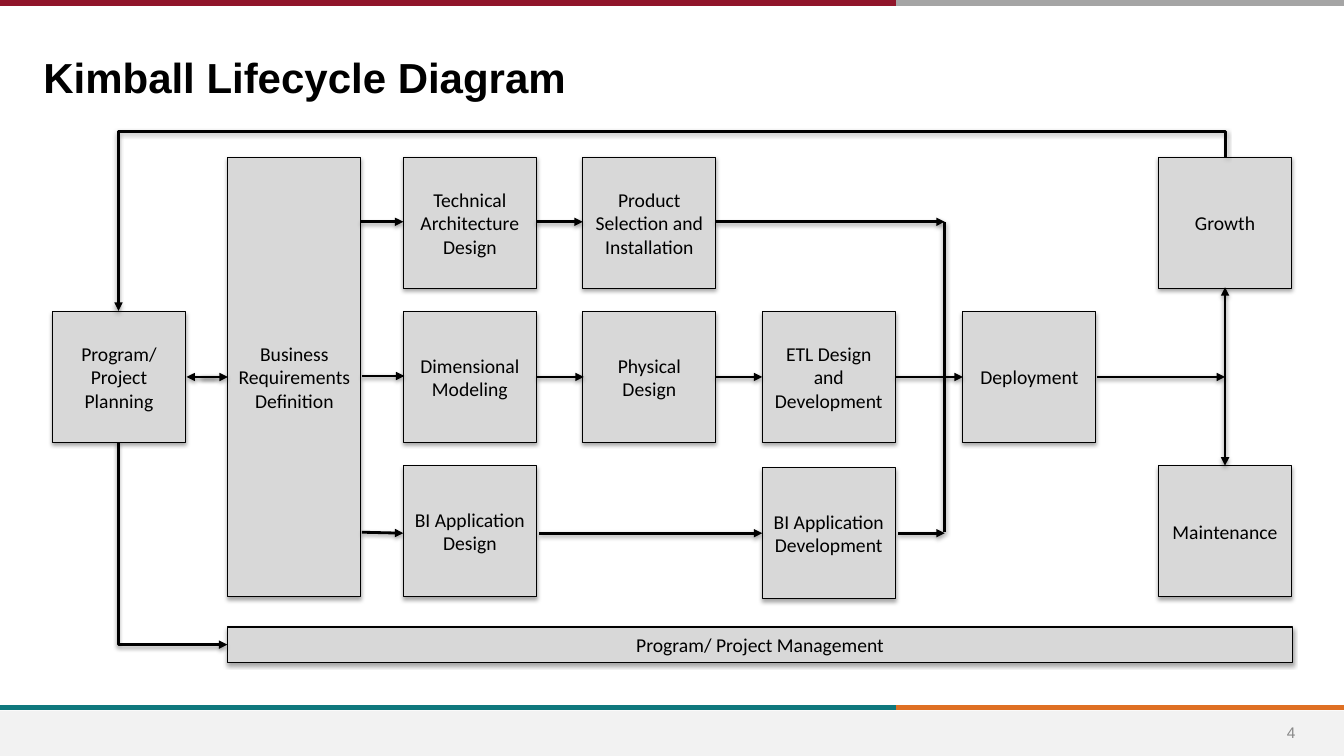
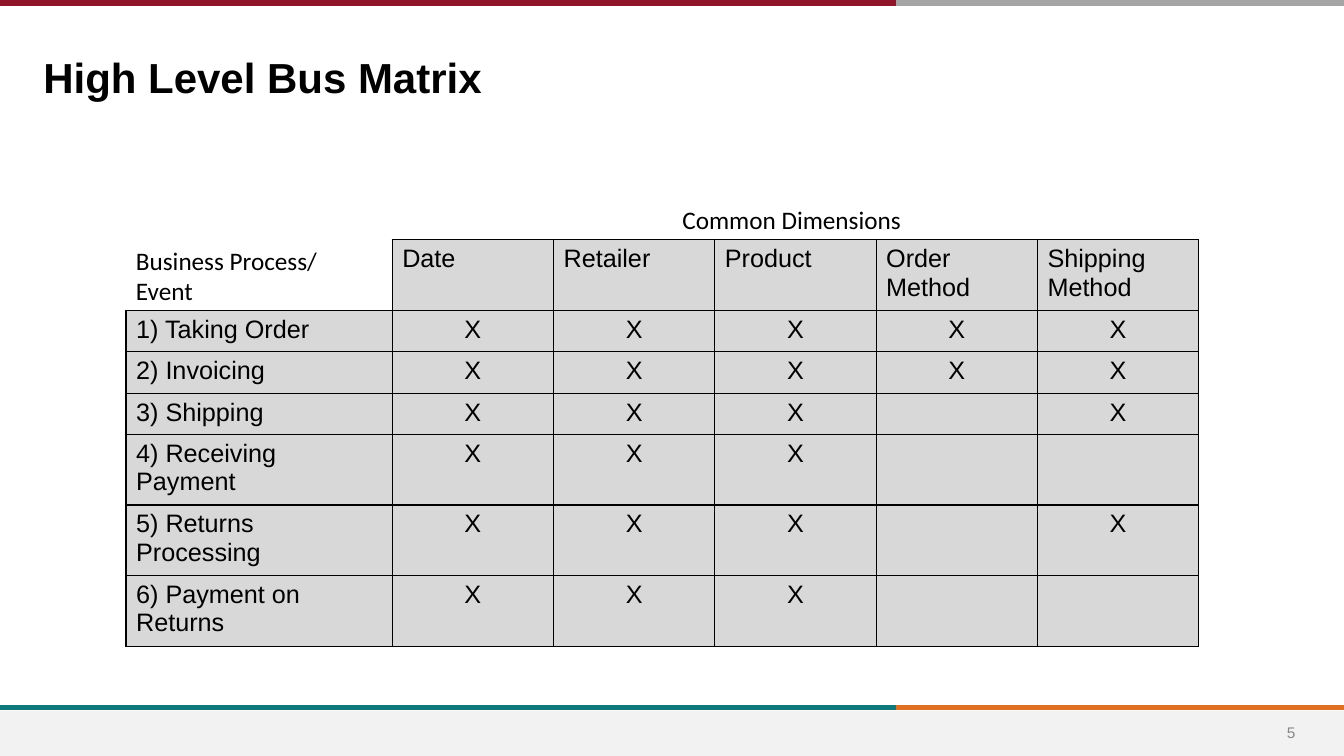
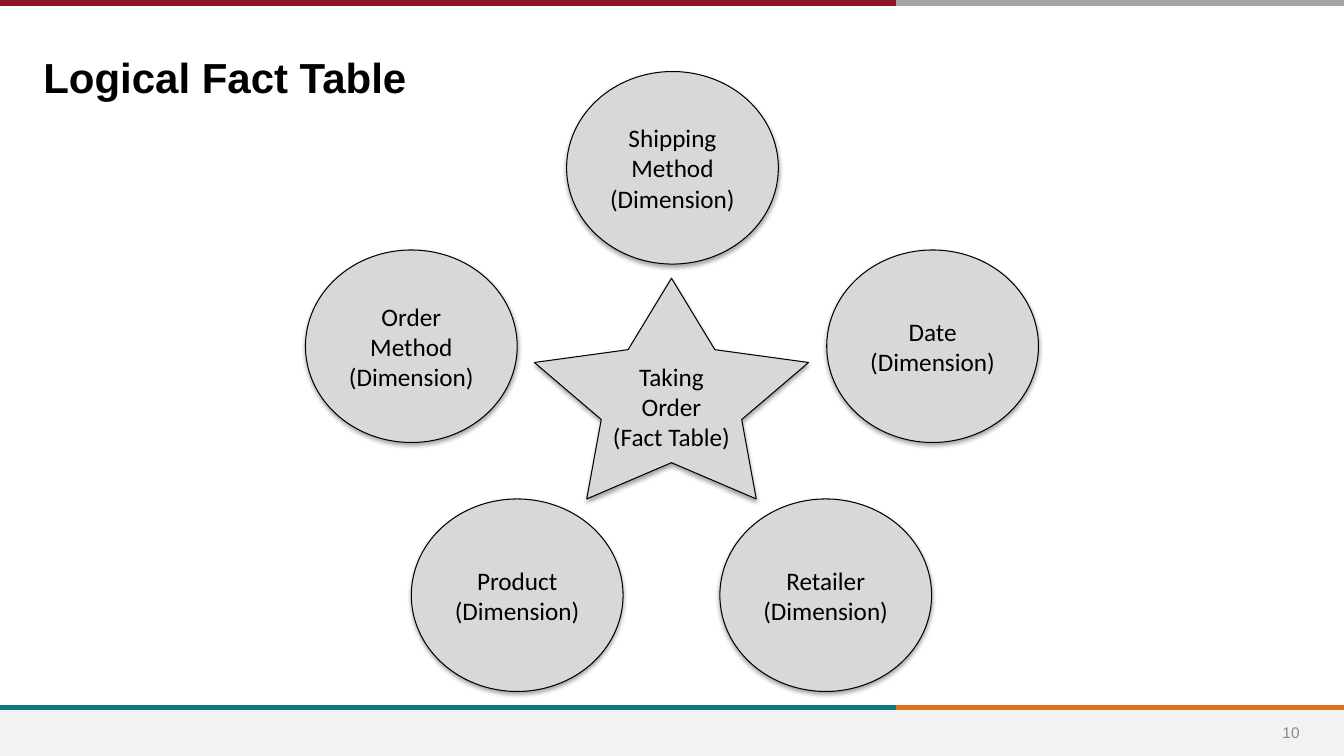
"""Build three slides on the data warehouse lifecycle, bus matrix and fact table."""
import dataclasses
import typing

import lxml.etree
import pptx
import pptx.dml.color
import pptx.enum.shapes
import pptx.enum.text
import pptx.oxml.ns
import pptx.shapes.connector
import pptx.slide
import pptx.table
import pptx.text.text
import pptx.util

Inches = pptx.util.Inches
Pt = pptx.util.Pt
qn = pptx.oxml.ns.qn
SHAPE = pptx.enum.shapes.MSO_SHAPE
CONNECTOR = pptx.enum.shapes.MSO_CONNECTOR
ALIGN = pptx.enum.text.PP_ALIGN
ANCHOR = pptx.enum.text.MSO_ANCHOR

BLACK, WHITE, GREY, FOOTER, MUTED = "000000", "FFFFFF", "D8D8D8", "F2F2F2", "888888"
WIDTH, HEIGHT, SPLIT = 13.33, 7.5, 8.89
SANS, BODY = "Arial", "Calibri"


@dataclasses.dataclass(frozen=True)
class Node:
    """A grey shape with centred text."""
    left: float
    top: float
    width: float
    height: float
    lines: tuple[str, ...]


@dataclasses.dataclass(frozen=True)
class Line:
    """A straight line with optional arrowheads."""
    x1: float
    y1: float
    x2: float
    y2: float
    head: bool = False
    tail: bool = True


@dataclasses.dataclass(frozen=True)
class Elbow:
    """A turned elbow arrow, given by its unturned ends."""
    x1: float
    y1: float
    x2: float
    y2: float
    turn: int
    preset: str
    bend: typing.Optional[float] = None


@dataclasses.dataclass(frozen=True)
class Band:
    """A coloured stretch of a horizontal rule."""
    x1: float
    x2: float
    y: float
    color: str


BANDS = (
    Band(SPLIT, WIDTH, 7.02, "DF7023"),
    Band(0, SPLIT, 7.02, "0F787D"),
    Band(SPLIT, WIDTH, 0.03, "A5A5A5"),
    Band(0, SPLIT, 0.03, "90152A"),
)

BOX_W, BOX_H = 1.32, 1.3
PLAN_X, REQ_X, DESIGN_X, SELECT_X, BUILD_X, DEPLOY_X, END_X = 0.52, 2.26, 4, 5.78, 7.56, 9.55, 11.49
TOP_Y, MID_Y, LOW_Y = (1.56 + 1.53 * i for i in range(3))
TOP_ARROW, MID_ARROW, LOW_ARROW = 2.2, 3.74, 5.29
JOIN_X, END_MID = 9.37, 12.15


def box(left: float, top: float, text: str) -> Node:
    """Return a lifecycle box of the usual size."""
    return Node(left, top, BOX_W, BOX_H, (text,))


LIFECYCLE = (
    Node(REQ_X, TOP_Y, BOX_W, 4.36, ("Business Requirements", "Definition")),
    box(DESIGN_X, TOP_Y, "Technical Architecture Design"),
    box(DESIGN_X, MID_Y, "Dimensional Modeling"),
    box(DESIGN_X, LOW_Y, "BI Application Design"),
    box(PLAN_X, MID_Y, "Program/ Project Planning"),
    box(SELECT_X, TOP_Y, "Product Selection and Installation"),
    box(SELECT_X, MID_Y, "Physical Design"),
    box(BUILD_X, MID_Y, "ETL Design and Development"),
    box(BUILD_X, 4.64, "BI Application Development"),
    box(DEPLOY_X, MID_Y, "Deployment"),
    box(END_X, LOW_Y, "Maintenance"),
    box(END_X, TOP_Y, "Growth"),
    Node(REQ_X, 6.22, 10.56, 0.35, ("Program/ Project Management",)),
)

ARROWS = (
    Line(3.58, TOP_ARROW, DESIGN_X, TOP_ARROW),
    Line(5.32, TOP_ARROW, SELECT_X, TOP_ARROW),
    Line(7.1, TOP_ARROW, JOIN_X, TOP_ARROW),
    Line(2, MID_ARROW, REQ_X, MID_ARROW),
    Line(2.15, MID_ARROW, 1.85, MID_ARROW),
    Line(3.59, 3.73, 4.01, 3.73),
    Line(5.33, MID_ARROW, 5.79, MID_ARROW),
    Line(7.1, MID_ARROW, BUILD_X, MID_ARROW),
    Line(SPLIT, MID_ARROW, DEPLOY_X, MID_ARROW),
    Line(10.88, MID_ARROW, END_MID, MID_ARROW),
    Line(3.59, 5.28, DESIGN_X, LOW_ARROW),
    Line(5.35, LOW_ARROW, BUILD_X, LOW_ARROW),
    Line(8.91, LOW_ARROW, JOIN_X, LOW_ARROW),
    Line(JOIN_X, 5.28, JOIN_X, TOP_ARROW, tail=False),
    Line(END_MID, LOW_Y, END_MID, 2.85, head=True),
)

ELBOWS = (
    Elbow(5.9, -3.17, 7.43, 7.81, 90, "bentConnector3", -0.163),
    Elbow(2.72, 4.85, 0.71, 5.93, 270, "bentConnector2"),
)

DIMENSIONS = ("Date", "Retailer", "Product", "Order Method", "Shipping Method")
PROCESSES = (
    ("1) Taking Order", "XXXXX"),
    ("2) Invoicing", "XXXXX"),
    ("3) Shipping", "XXX X"),
    ("4) Receiving Payment", "XXX  "),
    ("5) Returns Processing", "XXX X"),
    ("6) Payment on Returns", "XXX  "),
)


def dimension(left: float, top: float, name: str) -> Node:
    """Return a dimension circle."""
    return Node(left, top, 2.1, 1.91, (name, "(Dimension)"))


STAR_DIMENSIONS = (
    dimension(5.62, 0.71, "Shipping Method"),
    dimension(8.2, 2.48, "Date"),
    dimension(3.03, 2.48, "Order Method"),
    dimension(4.08, 4.95, "Product"),
    dimension(7.14, 4.95, "Retailer"),
)
FACT = Node(5.3, 2.76, 2.72, 2.19, ("Taking Order", "(Fact Table)"))


def rgb(color: str) -> pptx.dml.color.RGBColor:
    """Turn a hex string into a colour."""
    return pptx.dml.color.RGBColor.from_string(color)


def child(parent: typing.Any, tag: str, **attrs: object) -> typing.Any:
    """Append an XML element with attributes."""
    return lxml.etree.SubElement(parent, qn(tag), {k: str(v) for k, v in attrs.items()})


def write(tf: pptx.text.text.TextFrame, lines: typing.Sequence[str], size: float,
          font: str = BODY, color: str = BLACK, align: ALIGN = ALIGN.LEFT,
          bold: bool = False) -> None:
    """Write one paragraph per line in one style."""
    tf.word_wrap = True
    for i, text in enumerate(lines):
        p = tf.add_paragraph() if i else tf.paragraphs[0]
        p.alignment = align
        r = p.add_run()
        r.text = text
        r.font.name, r.font.size, r.font.bold = font, Pt(size), bold
        r.font.color.rgb = rgb(color)


def add_shadow(effects: typing.Any, dist: int, opacity: int) -> None:
    """Add a soft downward shadow to an effect list."""
    shadow = child(effects, "a:outerShdw", blurRad=40000, dist=dist, dir=5400000, rotWithShape=0)
    child(child(shadow, "a:srgbClr", val=BLACK), "a:alpha", val=opacity * 1000)


def add_label(s: pptx.slide.Slide, left: float, top: float, width: float, height: float,
              text: str) -> None:
    """Add a plain text label."""
    sp = s.shapes.add_textbox(Inches(left), Inches(top), Inches(width), Inches(height))
    write(sp.text_frame, [text], 18)


def add_node(s: pptx.slide.Slide, preset: SHAPE, node: Node, size: float) -> typing.Any:
    """Draw a grey shadowed shape with its text."""
    sp = s.shapes.add_shape(preset, Inches(node.left), Inches(node.top),
                            Inches(node.width), Inches(node.height))
    sp.fill.solid()
    sp.fill.fore_color.rgb = rgb(GREY)
    sp.line.color.rgb = rgb(BLACK)
    sp.line.width = Pt(0.75)
    sp.shadow.inherit = False
    add_shadow(sp._element.spPr.find(qn("a:effectLst")), 23000, 35)
    sp.text_frame.vertical_anchor = ANCHOR.MIDDLE
    write(sp.text_frame, node.lines, size, align=ALIGN.CENTER)
    return sp


def add_line(s: pptx.slide.Slide, kind: CONNECTOR, ends: typing.Sequence[float],
             color: str, width: float) -> tuple[pptx.shapes.connector.Connector, typing.Any]:
    """Draw a connector and return it with its empty effect list."""
    sp = s.shapes.add_connector(kind, *map(Inches, ends))
    sp.line.color.rgb = rgb(color)
    sp.line.width = Pt(width)
    return sp, child(sp._element.spPr, "a:effectLst")


def add_arrow(s: pptx.slide.Slide, arrow: Line | Elbow) -> None:
    """Draw a black shadowed arrow, straight or bent."""
    bent = isinstance(arrow, Elbow)
    sp, effects = add_line(s, CONNECTOR.ELBOW if bent else CONNECTOR.STRAIGHT,
                           (arrow.x1, arrow.y1, arrow.x2, arrow.y2), BLACK, 2)
    add_shadow(effects, 20000, 38)
    ln = sp.line._get_or_add_ln()
    if not bent and arrow.head:
        child(ln, "a:headEnd", type="triangle")
    if bent or arrow.tail:
        child(ln, "a:tailEnd", type="triangle")
    if bent:
        spPr = sp._element.spPr
        spPr.find(qn("a:xfrm")).set("rot", str(arrow.turn * 60000))
        geom = spPr.find(qn("a:prstGeom"))
        geom.set("prst", arrow.preset)
        if arrow.bend is not None:
            child(geom.find(qn("a:avLst")), "a:gd", name="adj1",
                  fmla=f"val {round(arrow.bend * 100000)}")


def add_slide(prs: typing.Any, title: str, number: int) -> pptx.slide.Slide:
    """Add a slide with bands, footer, page number and title."""
    s = prs.slides.add_slide(prs.slide_layouts[5])
    for band in BANDS:
        add_line(s, CONNECTOR.STRAIGHT, (band.x1, band.y, band.x2, band.y), band.color, 4)
    footer = s.shapes.add_shape(SHAPE.RECTANGLE, 0, Inches(7.05), Inches(WIDTH), Inches(0.45))
    footer.shadow.inherit = False
    footer.fill.solid()
    footer.fill.fore_color.rgb = rgb(FOOTER)
    footer.line.fill.background()
    sp = s.shapes.add_textbox(Inches(12.46), Inches(7.07), Inches(0.69), Inches(0.4))
    sp.text_frame.vertical_anchor = ANCHOR.MIDDLE
    write(sp.text_frame, [str(number)], 11, SANS, MUTED, ALIGN.CENTER)
    sp = s.shapes.title
    sp.left, sp.top, sp.width, sp.height = map(Inches, (0.33, 0.46, 10.65, 0.59))
    sp.text_frame.auto_size = pptx.enum.text.MSO_AUTO_SIZE.NONE
    sp.text_frame.vertical_anchor = ANCHOR.TOP
    write(sp.text_frame, [title], 30, SANS, bold=True)
    return s


def format_cell(cell: pptx.table._Cell, text: str, fill: str, align: ALIGN,
                sides: str = "LRTB") -> None:
    """Fill a cell, draw its borders and write its text."""
    tcPr = cell._tc.get_or_add_tcPr()
    for side in sides:
        ln = child(tcPr, f"a:ln{side}", w=12700)
        child(child(ln, "a:solidFill"), "a:srgbClr", val=BLACK)
    cell.fill.solid()
    cell.fill.fore_color.rgb = rgb(fill)
    if text:
        write(cell.text_frame, [text], 18, SANS, align=align)


def add_matrix(s: pptx.slide.Slide) -> None:
    """Draw the table of processes against dimensions."""
    rows, cols = len(PROCESSES) + 1, len(DIMENSIONS) + 1
    widths = [2.64] + [1.6] * len(DIMENSIONS)
    table = s.shapes.add_table(rows, cols, Inches(1.25), Inches(2.38),
                               Inches(sum(widths)), Inches(0.41 * rows)).table
    table.first_row = table.horz_banding = False
    for column, width in zip(table.columns, widths):
        column.width = Inches(width)
    for row in table.rows:
        row.height = Inches(0.41)
    format_cell(table.cell(0, 0), "", WHITE, ALIGN.LEFT, "RB")
    for j, name in enumerate(DIMENSIONS, 1):
        format_cell(table.cell(0, j), name, GREY, ALIGN.LEFT)
    for i, (process, marks) in enumerate(PROCESSES, 1):
        format_cell(table.cell(i, 0), process, GREY, ALIGN.LEFT)
        for j, mark in enumerate(marks, 1):
            format_cell(table.cell(i, j), mark.strip(), GREY, ALIGN.CENTER)


def main() -> None:
    """Build and save the slides."""
    prs = pptx.Presentation()
    prs.slide_width, prs.slide_height = Inches(WIDTH), Inches(HEIGHT)

    s = add_slide(prs, "Kimball Lifecycle Diagram", 4)
    for node in LIFECYCLE:
        add_node(s, SHAPE.RECTANGLE, node, 14)
    for arrow in ARROWS + ELBOWS:
        add_arrow(s, arrow)

    s = add_slide(prs, "High Level Bus Matrix", 5)
    add_matrix(s)
    add_label(s, 1.25, 2.38, 2.59, 0.71, "Business Process/ Event")
    add_label(s, 6.67, 1.98, 4.65, 0.4, "Common Dimensions")

    s = add_slide(prs, "Logical Fact Table", 10)
    for node in STAR_DIMENSIONS:
        add_node(s, SHAPE.OVAL, node, 18)
    star = add_node(s, SHAPE.STAR_5_POINT, FACT, 18)
    star.adjustments[0] = 0.256

    prs.save("out.pptx")


if __name__ == "__main__":
    main()
